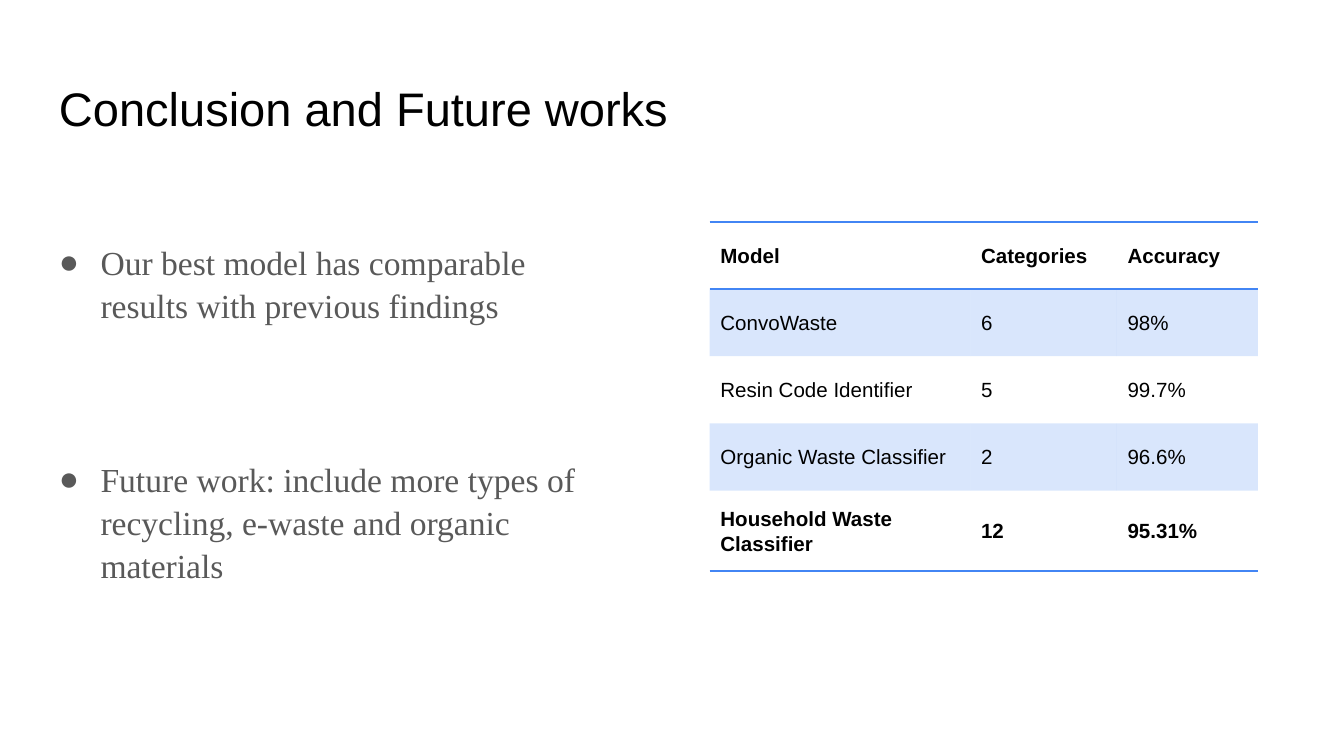
from dataclasses import dataclass

from lxml.etree import SubElement
from pptx import Presentation
from pptx.dml.color import RGBColor
from pptx.enum.text import MSO_ANCHOR
from pptx.oxml.ns import qn
from pptx.util import Inches, Pt

BLACK, GRAY, BLUE = "000000", "595959", "4285F4"
PLAIN_TABLE = "{2D5ABB26-0587-4C30-8999-92F81FD0307C}"
LINE_SPACING = 1.07
EDGES = ("a:lnL", "a:lnR", "a:lnT", "a:lnB")


@dataclass
class ModelRow:
    name: str
    categories: str
    accuracy: str
    height: float = 0.5
    bold: bool = False
    shaded: bool = False
    ruled: tuple[str, ...] = ()


@dataclass
class Bullet:
    text: str
    gap_after: float


ROWS = [
    ModelRow("Model", "Categories", "Accuracy", bold=True, ruled=("a:lnT", "a:lnB")),
    ModelRow("ConvoWaste", "6", "98%", shaded=True, ruled=("a:lnT",)),
    ModelRow("Resin Code Identifier", "5", "99.7%"),
    ModelRow("Organic Waste Classifier", "2", "96.6%", shaded=True),
    ModelRow("Household Waste Classifier", "12", "95.31%", 0.6, bold=True, ruled=("a:lnB",)),
]
COLUMNS = [1.94, 1.09, 1.05]
BULLETS = [
    Bullet("Our best model has comparable results with previous findings", 70),
    Bullet("Future work: include more types of recycling, e-waste and organic materials", 8),
]


def color(value: str) -> RGBColor:
    return RGBColor.from_string(value)


def style_text(p, font: str, size: float, fill: str, bold: bool = False) -> None:
    for r in p.runs:
        r.font.name = font
        r.font.size = Pt(size)
        r.font.bold = bold
        r.font.color.rgb = color(fill)


def add_text_frame(s, left: float, top: float, width: float, height: float):
    tf = s.shapes.add_textbox(Inches(left), Inches(top), Inches(width), Inches(height)).text_frame
    tf.word_wrap = True
    tf.margin_left = tf.margin_right = tf.margin_top = tf.margin_bottom = Inches(0.1)
    return tf


def add_bullet(p, bullet: Bullet) -> None:
    p.text = bullet.text
    p.line_spacing = LINE_SPACING
    p.space_after = Pt(bullet.gap_after)
    style_text(p, "Times New Roman", 18, GRAY)
    pPr = p._p.get_or_add_pPr()
    pPr.set("marL", str(Inches(0.31)))
    pPr.set("indent", str(-Inches(0.31)))
    SubElement(SubElement(pPr, qn("a:buClr")), qn("a:srgbClr"), val=GRAY)
    SubElement(pPr, qn("a:buFont"), typeface="Arial")
    SubElement(pPr, qn("a:buChar"), char="●")


def draw_edges(tcPr, ruled: tuple[str, ...]) -> None:
    for edge in EDGES:
        line = SubElement(tcPr, qn(edge), w=str(Pt(1)))
        if edge in ruled:
            SubElement(SubElement(line, qn("a:solidFill")), qn("a:srgbClr"), val=BLUE)
            SubElement(line, qn("a:prstDash"), val="solid")
        else:
            SubElement(line, qn("a:noFill"))


def format_cell(cell, text: str, row: ModelRow) -> None:
    cell.text_frame.text = text
    cell.vertical_anchor = MSO_ANCHOR.MIDDLE
    cell.margin_left = cell.margin_right = Inches(0.08)
    cell.margin_top = cell.margin_bottom = 0
    p = cell.text_frame.paragraphs[0]
    p.line_spacing = LINE_SPACING
    style_text(p, "Arial", 11, BLACK, row.bold)
    tcPr = cell._tc.get_or_add_tcPr()
    draw_edges(tcPr, row.ruled)
    if row.shaded:
        cell.fill.solid()
        cell.fill.fore_color.rgb = color(BLUE)
        SubElement(tcPr.find(qn("a:solidFill"))[0], qn("a:alpha"), val="20000")
    else:
        cell.fill.background()


def add_model_table(s, left: float, top: float) -> None:
    width, height = sum(COLUMNS), sum(row.height for row in ROWS)
    table = s.shapes.add_table(
        len(ROWS), len(COLUMNS), Inches(left), Inches(top), Inches(width), Inches(height)
    ).table
    table.first_row = table.horz_banding = False
    table._tbl.tblPr.find(qn("a:tableStyleId")).text = PLAIN_TABLE
    for column, column_width in zip(table.columns, COLUMNS):
        column.width = Inches(column_width)
    for table_row, row in zip(table.rows, ROWS):
        table_row.height = Inches(row.height)
        for cell, text in zip(table_row.cells, (row.name, row.categories, row.accuracy)):
            format_cell(cell, text, row)


def main() -> None:
    prs = Presentation()
    prs.slide_width, prs.slide_height = Inches(10), Inches(10 * 9 / 16)
    s = prs.slides.add_slide(prs.slide_layouts[6])

    tf = add_text_frame(s, 0.34, 0.49, 9.32, 0.63)
    tf.vertical_anchor = MSO_ANCHOR.TOP
    tf.text = "Conclusion and Future works"
    style_text(tf.paragraphs[0], "Arial", 25.2, BLACK)

    tf = add_text_frame(s, 0.34, 1.26, 4.37, 3.74)
    tf.margin_top = Inches(0.52)
    for i, bullet in enumerate(BULLETS):
        add_bullet(tf.add_paragraph() if i else tf.paragraphs[0], bullet)

    add_model_table(s, 5.28, 1.65)
    prs.save("out.pptx")


if __name__ == "__main__":
    main()
